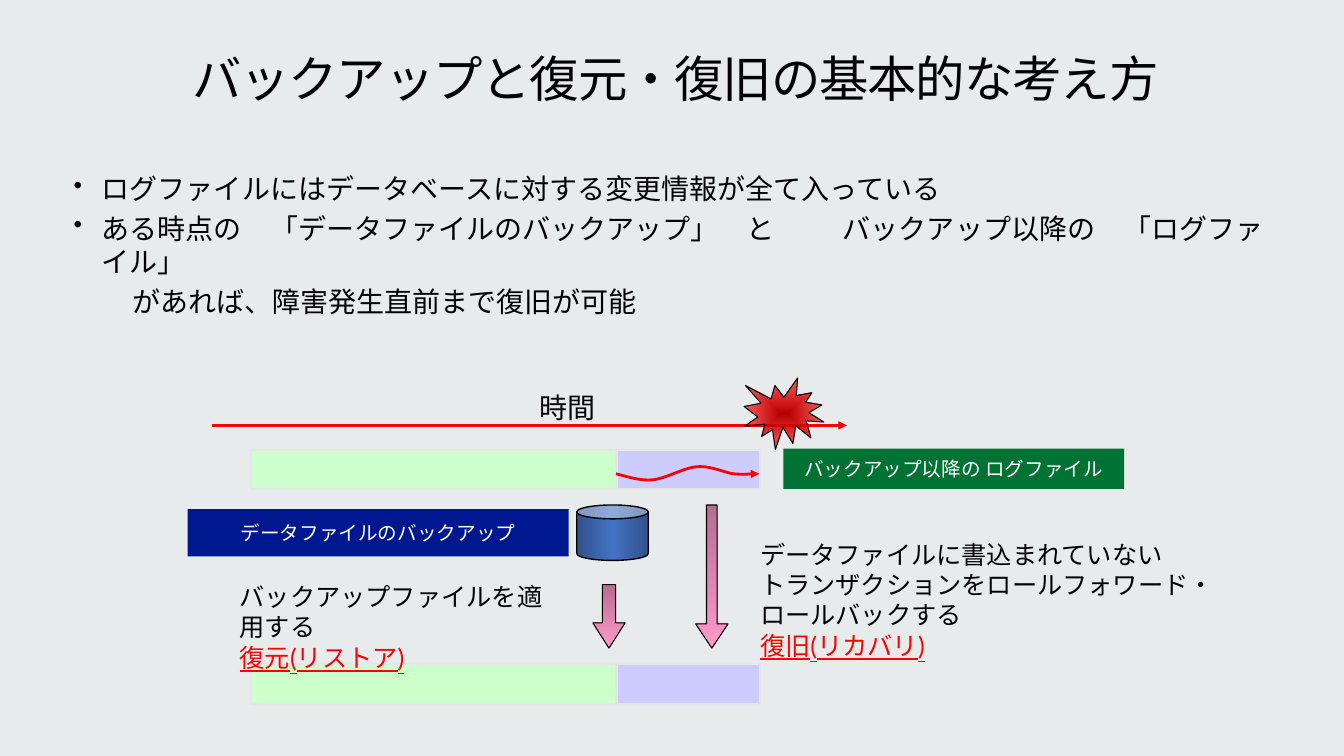
from lxml import etree
from pptx import Presentation
from pptx.dml.color import RGBColor
from pptx.enum.shapes import MSO_CONNECTOR, MSO_SHAPE
from pptx.enum.text import MSO_ANCHOR, PP_ALIGN
from pptx.oxml import parse_xml
from pptx.oxml.ns import nsdecls, qn
from pptx.util import Inches, Pt

RECT, CAN = MSO_SHAPE.RECTANGLE, MSO_SHAPE.CAN
ARROW, BURST = MSO_SHAPE.DOWN_ARROW, MSO_SHAPE.EXPLOSION1
STRAIGHT = MSO_CONNECTOR.STRAIGHT
MIDDLE, TOP = MSO_ANCHOR.MIDDLE, MSO_ANCHOR.TOP
CENTER, LEFT = PP_ALIGN.CENTER, PP_ALIGN.LEFT

FONT = "Lato"
BLACK, WHITE, RED = "000000", "FFFFFF", "FF0000"
GREEN_BAR, VIOLET_BAR, BAR_EDGE = "CCFFCC", "CCCCFF", "E7E6E6"
LINEAR = '<a:lin ang="{}" scaled="0"/>'
RADIAL = '<a:path path="shape"><a:fillToRect l="50000" t="50000" r="50000" b="50000"/></a:path>'


def rgb(value):
    return RGBColor.from_string(value)


def set_attrs(obj, values):
    for name, value in values.items():
        setattr(obj, name, value)


def style_font(font, size, color=BLACK, **extra):
    set_attrs(font, {"name": FONT, "size": Pt(size), **extra})
    font.color.rgb = rgb(color)


def style_frame(tf, margins=(0.1, 0.05), anchor=TOP, wrap=True):
    x, y = map(Inches, margins)
    set_attrs(tf, {"margin_left": x, "margin_right": x, "margin_top": y,
                   "margin_bottom": y, "vertical_anchor": anchor, "word_wrap": wrap})


def place(sp, box):
    set_attrs(sp, dict(zip(("left", "top", "width", "height"), map(Inches, box))))


def add_arrowhead(line):
    etree.SubElement(line._get_or_add_ln(), qn("a:tailEnd"), type="triangle")


def add_gradient(sp, stops, direction):
    items = "".join(
        f'<a:gs pos="{pos * 1000}"><a:srgbClr val="{color}">'
        f'<a:alpha val="{alpha * 1000}"/></a:srgbClr></a:gs>'
        for pos, color, alpha in stops)
    fill = parse_xml(f'<a:gradFill rotWithShape="1" {nsdecls("a")}>'
                     f'<a:gsLst>{items}</a:gsLst>{direction}</a:gradFill>')
    sp._element.spPr.find(qn("a:prstGeom")).addnext(fill)


def add_shape(s, kind, box, fill=None, edge=None, width=1, adjustments=()):
    sp = s.shapes.add_shape(kind, *map(Inches, box))
    sp.shadow.inherit = False
    for i, value in enumerate(adjustments):
        sp.adjustments[i] = value
    if fill:
        sp.fill.solid()
        sp.fill.fore_color.rgb = rgb(fill)
    if edge:
        sp.line.color.rgb = rgb(edge)
        sp.line.width = Pt(width)
    else:
        sp.line.fill.background()
    return sp


def add_text(s, box, lines, size):
    tf = s.shapes.add_textbox(*map(Inches, box)).text_frame
    style_frame(tf)
    for i, (text, look) in enumerate(lines):
        p = tf.paragraphs[0] if i == 0 else tf.add_paragraph()
        r = p.add_run()
        r.text = text
        style_font(r.font, size, **look)


def add_label(s, box, text, fill):
    tf = add_shape(s, RECT, box, fill).text_frame
    style_frame(tf, anchor=MIDDLE, wrap=False)
    p = tf.paragraphs[0]
    p.text, p.alignment = text, CENTER
    style_font(p.runs[0].font, 14, WHITE)


def add_title(s, box):
    sp = s.shapes.title
    place(sp, box)
    style_frame(sp.text_frame, (0.16, 0.1), MIDDLE)
    p = sp.text_frame.paragraphs[0]
    p.text = "バックアップと復元・復旧の基本的な考え方"
    set_attrs(p, {"alignment": CENTER, "line_spacing": 0.9})
    style_font(p.runs[0].font, 35.3)
    p.runs[0].font._element.set("spc", "-80")


def add_points(s, box):
    points = [
        ("ログファイルにはデータベースに対する変更情報が全て入っている", True),
        ("ある時点の　「データファイルのバックアップ」　と\tバックアップ以降の　「ログファイル」", True),
        ("があれば、障害発生直前まで復旧が可能", False),
    ]
    tf = s.shapes.add_textbox(*map(Inches, box)).text_frame
    style_frame(tf, (0.16, 0.1))
    for i, (text, bullet) in enumerate(points):
        p = tf.paragraphs[0] if i == 0 else tf.add_paragraph()
        p.text = text
        set_attrs(p, {"alignment": LEFT, "space_before": Pt(4.4 if i else 0)})
        pPr = p._p.get_or_add_pPr()
        pPr.set("marL", str(Inches(0.28 if bullet else 0.58)))
        pPr.set("indent", str(Inches(-0.28 if bullet else 0)))
        if bullet:
            etree.SubElement(pPr, qn("a:buSzPct"), val="90000")
            etree.SubElement(pPr, qn("a:buChar"), char="•")
        if "\t" in text:
            tabs = etree.SubElement(pPr, qn("a:tabLst"))
            etree.SubElement(tabs, qn("a:tab"), pos=str(Inches(7.63)), algn="l")
        style_font(p.runs[0].font, 20)


def add_bar(s, left, top):
    for offset, width, fill in ((0, 3.62, GREEN_BAR), (3.63, 1.42, VIOLET_BAR)):
        add_shape(s, RECT, (left + offset, top, width, 0.39), fill, BAR_EDGE, 1.5)


def add_time_axis(s, left, y, length):
    axis = s.shapes.add_connector(
        STRAIGHT, *map(Inches, (left, y, left + length, y)))
    axis.line.color.rgb = rgb(RED)
    axis.line.width = Pt(2)
    add_arrowhead(axis.line)
    etree.SubElement(axis._element.spPr, qn("a:effectLst"))
    add_text(s, (left + 3.15, y - 0.39, 1.69, 0.43), [("時間", {})], 20)


def add_log_wave(s, left, y):
    knots = [(0, 0), (0.12, 0.03), (0.23, 0.07), (0.36, 0.06),
             (0.49, 0.05), (0.67, -0.06), (0.8, -0.07),
             (0.94, -0.08), (1.05, -0.02), (1.16, 0),
             (1.26, 0.01), (1.34, 0), (1.42, 0)]
    steps = 10
    points = []
    for k in range(0, len(knots) - 1, 3):
        for t in (n / steps for n in range(1, steps + 1)):
            weights = ((1 - t) ** 3, 3 * t * (1 - t) ** 2, 3 * t ** 2 * (1 - t), t ** 3)
            x, dy = (sum(w * knot[axis] for w, knot in zip(weights, knots[k:k + 4]))
                     for axis in (0, 1))
            points.append((Inches(left + x), Inches(y + dy)))
    builder = s.shapes.build_freeform(Inches(left), Inches(y))
    builder.add_line_segments(points, close=False)
    wave = builder.convert_to_shape()
    wave.shadow.inherit = False
    wave.fill.background()
    wave.line.color.rgb = rgb(RED)
    wave.line.width = Pt(2)
    add_arrowhead(wave.line)


def add_down_arrow(s, box, adjustments):
    sp = add_shape(s, ARROW, box, None, BLACK, 0.75, adjustments)
    add_gradient(sp, [(0, "B66D92", 100), (100, "FF99CC", 100)], LINEAR.format(5400000))


def add_diagram(s, left, top):
    add_bar(s, left + 0.39, top + 0.71)
    add_time_axis(s, left, top + 0.47, 6.3)
    can = add_shape(s, CAN, (left + 3.62, top + 1.26, 0.71, 0.55), None, BLACK, 1, (0.25,))
    add_gradient(can, [(0, "31528C", 100), (50, "4472C4", 100), (100, "31528C", 100)],
                 LINEAR.format(0))
    add_label(s, (left - 0.24, top + 1.3, 3.78, 0.47), "データファイルのバックアップ", "00188F")
    add_log_wave(s, left + 4.01, top + 0.95)
    add_label(s, (left + 5.67, top + 0.7, 3.38, 0.4), "バックアップ以降の ログファイル", "007233")
    burst = add_shape(s, BURST, (left + 5.28, top, 0.79, 0.71), None, BLACK, 0.75)
    add_gradient(burst, [(0, "B60000", 100), (100, RED, 60)], RADIAL)
    add_bar(s, left + 0.39, top + 2.84)
    add_down_arrow(s, (left + 3.78, top + 2.05, 0.32, 0.63), (0.41, 0.78))
    add_down_arrow(s, (left + 4.8, top + 1.26, 0.32, 1.42), (0.33, 0.75))
    key = {"color": RED, "underline": True}
    add_text(s, (left + 0.18, top + 1.97, 3.2, 0.71),
             [("バックアップファイルを適用する", {}), ("復元(リストア)", key)], 18)
    add_text(s, (left + 5.34, top + 1.55, 4.97, 1.01),
             [("データファイルに書込まれていない", {}),
              ("トランザクションをロールフォワード・ロールバックする", {}),
              ("復旧(リカバリ)", key)], 18)


def main():
    prs = Presentation()
    set_attrs(prs, {"slide_width": Inches(13.33), "slide_height": Inches(7.5)})
    s = prs.slides.add_slide(prs.slide_layouts[5])
    s.background.fill.solid()
    s.background.fill.fore_color.rgb = rgb("E7EBEC")
    add_title(s, (0.3, 0.32, 12.8, 0.98))
    add_points(s, (0.57, 1.6, 12.2, 1.8))
    add_diagram(s, 2.1, 3.75)
    prs.save("out.pptx")


if __name__ == "__main__":
    main()
